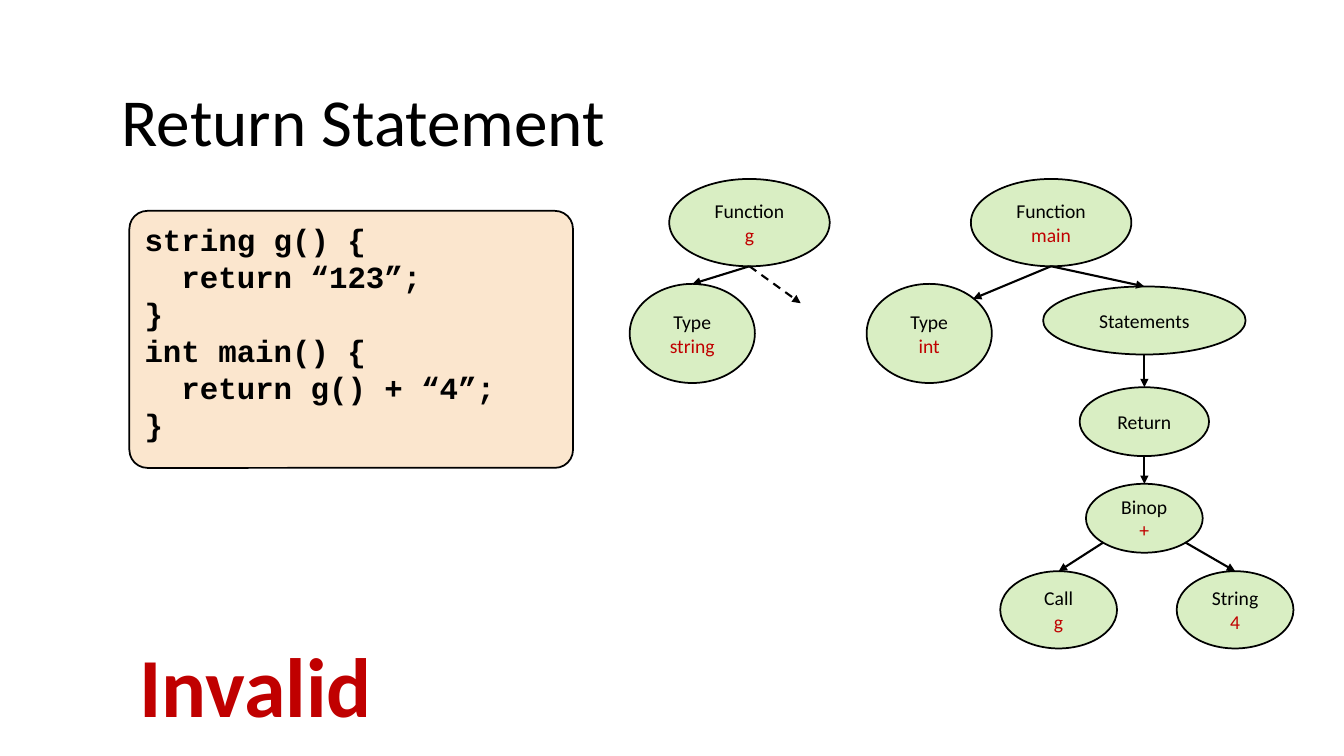
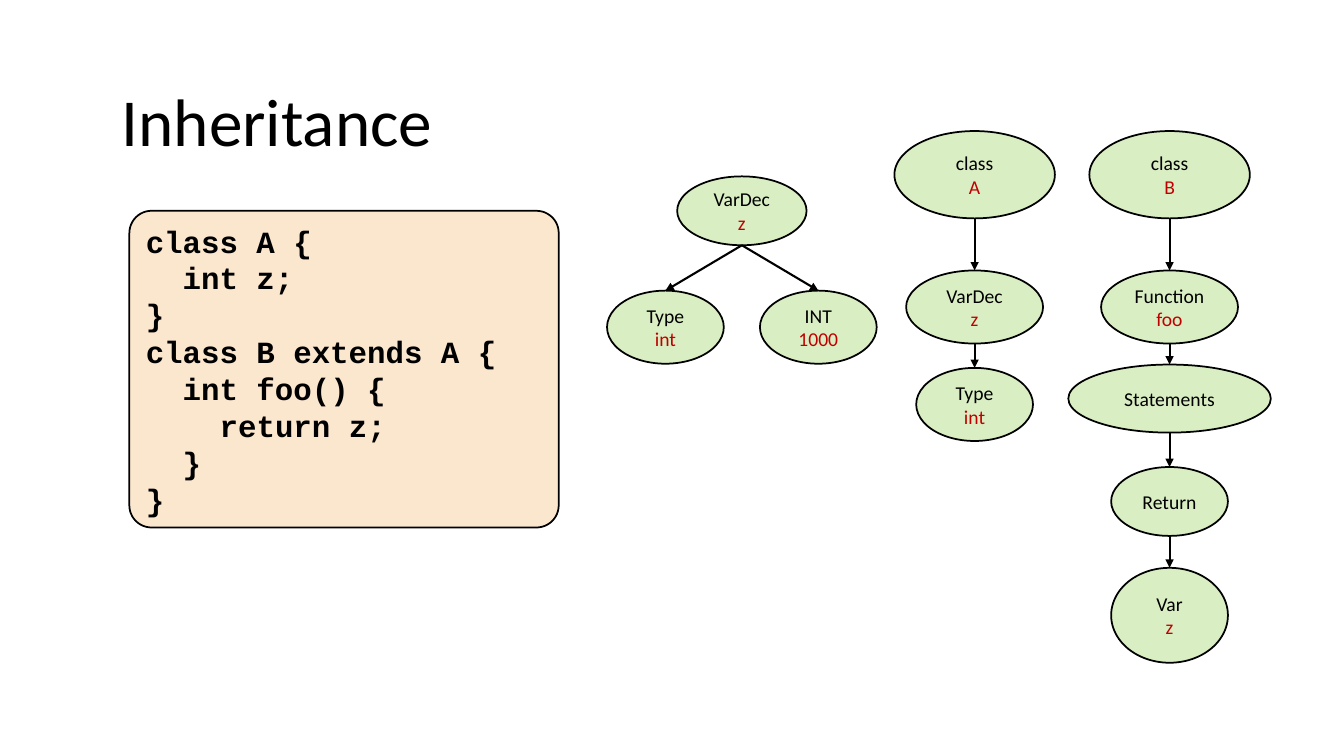
from lxml import etree
from pptx import Presentation
from pptx import util as u
from pptx.dml.color import RGBColor
from pptx.enum import dml, shapes, text
from pptx.oxml.ns import qn

COLORS = {"ink": "000000", "accent": "C00000", "node": "92D050", "code": "FBE6CE"}
RGB = {name: RGBColor.from_string(value) for name, value in COLORS.items()}
BODY, MONO = "Calibri", "Courier New"

# Grid: 160 columns by 90 rows of square cells
prs = Presentation()
prs.slide_width, prs.slide_height = u.Inches(13.33), u.Inches(7.5)
CELL = prs.slide_height / 90

# Shared places and sizes, in cells
TITLE = (13.3, 8.8, 133.1, 10.9)
VERDICT = (15.4, 74.8, 36.7, 13.3)
CODE_LEFT, CODE_TOP = 15.4, 25.1
CODE_PT = 22
CHAR = u.Pt(CODE_PT * 0.6)
ROOT, WIDE = (19.1, 10.4), (24.1, 8.1)
TALL, MEDIUM = (14.9, 11.8), (16.3, 8.7)
OVAL, SMALL, LEAF = (15.4, 8.2), (13.9, 8.2), (13.9, 8.7)

# Points on an ellipse, as shares of its width and height from the centre
D = 0.35
PORTS = {"top": (0, -0.5), "bottom": (0, 0.5), "top right": (D, -D),
         "bottom left": (-D, D), "bottom right": (D, D)}

# Node: key -> (label, value, centre column, top row, (width, height))
# Edge: (parent, child, port on parent, port on child)
SLIDES = [
    {
        "title": "Return Statement",
        "code": ["string g() {", "  return “123”;", "}",
                 "int main() {", "  return g() + “4”;", "}"],
        "code_size": (52.8, 30.6),
        "nodes": {
            "g": ("Function", "g", 89.2, 21.3, ROOT),
            "g type": ("Type", "string", 82.4, 33.8, TALL),
            "main": ("Function", "main", 125.1, 21.3, ROOT),
            "main type": ("Type", "int", 110.6, 33.8, TALL),
            "body": ("Statements", "", 136.2, 34.1, WIDE),
            "return": ("Return", "", 136.2, 46.1, OVAL),
            "binop": ("Binop", "+", 136.2, 57.6, SMALL),
            "call": ("Call", "g", 126, 68, (13.9, 9.2)),
            "string": ("String", "4", 147, 68, (13.9, 9.2)),
        },
        "edges": [
            ("g", "g type", "bottom", "top"),
            ("main", "main type", "bottom", "top right"),
            ("main", "body", "bottom", "top"),
            ("body", "return", "bottom", "top"),
            ("return", "binop", "bottom", "top"),
            ("binop", "call", "bottom left", "top"),
            ("binop", "string", "bottom right", "top"),
        ],
        "open_edges": [("g", (95.3, 36.1))],
        "verdict": "Invalid",
    },
    {
        "title": "Inheritance",
        "code": ["class A {", "  int z;", "}", "class B extends A {",
                 "  int foo() {", "    return z;", "  }", "}"],
        "code_size": (51.1, 37.7),
        "nodes": {
            "global": ("VarDec", "z", 88.3, 21, OVAL),
            "global type": ("Type", "int", 79.2, 34.6, LEAF),
            "global value": ("INT", "1000", 97.4, 34.6, LEAF),
            "A": ("class", "A", 116, 15.6, ROOT),
            "field": ("VarDec", "z", 116, 32.2, MEDIUM),
            "field type": ("Type", "int", 116, 43.8, LEAF),
            "B": ("class", "B", 139.2, 15.6, ROOT),
            "foo": ("Function", "foo", 139.2, 32.2, MEDIUM),
            "body": ("Statements", "", 139.2, 43.4, WIDE),
            "return": ("Return", "", 139.2, 55.6, SMALL),
            "var": ("Var", "z", 139.2, 67.6, (13.9, 11.3)),
        },
        "edges": [(parent, child, "bottom", "top") for parent, child in [
            ("global", "global type"), ("global", "global value"),
            ("A", "field"), ("field", "field type"),
            ("B", "foo"), ("foo", "body"), ("body", "return"), ("return", "var"),
        ]],
        "open_edges": [],
        "verdict": "",
    },
]


def cells(*values):
    return [round(v * CELL) for v in values]


def write(tf, lines, size, font=BODY, bold=False, align=text.PP_ALIGN.LEFT):
    """Write (words, colour) lines, one paragraph each; leading blanks become indents."""
    tf.word_wrap = True
    for i, (words, color) in enumerate(lines):
        p = tf.paragraphs[0] if i == 0 else tf.add_paragraph()
        p.alignment = align
        indent = len(words) - len(words.lstrip())
        if indent:
            p._p.get_or_add_pPr().set("marL", str(indent * CHAR))
        r = p.add_run()
        r.text = words.lstrip()
        r.font.size, r.font.name, r.font.bold = u.Pt(size), font, bold
        r.font.color.rgb = RGB[color]


for page in SLIDES:
    s = prs.slides.add_slide(prs.slide_layouts[6])

    # Title
    write(s.shapes.add_textbox(*cells(*TITLE)).text_frame, [(page["title"], "ink")], 48)

    # Syntax tree nodes
    for label, value, cx, top, (w, h) in page["nodes"].values():
        sp = s.shapes.add_shape(shapes.MSO_SHAPE.OVAL, *cells(cx - w / 2, top, w, h))
        sp.shadow.inherit = False
        sp.fill.solid()
        sp.fill.fore_color.rgb = RGB["node"]
        tint = sp._element.spPr.find(qn("a:solidFill")).find(qn("a:srgbClr"))
        etree.SubElement(tint, qn("a:alpha")).set("val", "34000")
        sp.line.color.rgb, sp.line.width = RGB["ink"], u.Pt(1.25)
        tf = sp.text_frame
        tf.margin_left = tf.margin_right = 0
        tf.vertical_anchor = text.MSO_ANCHOR.MIDDLE
        lines = [(label, "ink")] + ([(value, "accent")] if value else [])
        write(tf, lines, 14, align=text.PP_ALIGN.CENTER)

    # Arrows between nodes, then dashed ones to a part left out
    arrows = []
    for parent, child, *ports in page["edges"]:
        ends = []
        for key, port in zip((parent, child), ports):
            cx, top, (w, h) = page["nodes"][key][2:]
            dx, dy = PORTS[port]
            ends += [cx + dx * w, top + (0.5 + dy) * h]
        arrows.append((ends, False))
    for parent, target in page["open_edges"]:
        cx, top, (w, h) = page["nodes"][parent][2:]
        arrows.append(([cx, top + h, *target], True))
    for ends, dashed in arrows:
        c = s.shapes.add_connector(shapes.MSO_CONNECTOR.STRAIGHT, *cells(*ends))
        c.line.color.rgb, c.line.width = RGB["ink"], u.Pt(1.5)
        if dashed:
            c.line.dash_style = dml.MSO_LINE.DASH
        etree.SubElement(c.line._get_or_add_ln(), qn("a:tailEnd")).set("type", "triangle")
        etree.SubElement(c._element.spPr, qn("a:effectLst"))

    # Code panel
    sp = s.shapes.add_shape(shapes.MSO_SHAPE.ROUNDED_RECTANGLE,
                            *cells(CODE_LEFT, CODE_TOP, *page["code_size"]))
    sp.adjustments[0] = 0.07
    sp.shadow.inherit = False
    sp.fill.solid()
    sp.fill.fore_color.rgb = RGB["code"]
    sp.line.color.rgb, sp.line.width = RGB["ink"], u.Pt(1.25)
    tf = sp.text_frame
    tf.vertical_anchor = text.MSO_ANCHOR.TOP
    write(tf, [(line, "ink") for line in page["code"]], CODE_PT, MONO, bold=True)
    for p in tf.paragraphs:
        p.line_spacing = u.Pt(CODE_PT * 1.2)

    # Verdict
    if page["verdict"]:
        write(s.shapes.add_textbox(*cells(*VERDICT)).text_frame,
              [(page["verdict"], "accent")], 60, bold=True)

prs.save("out.pptx")
